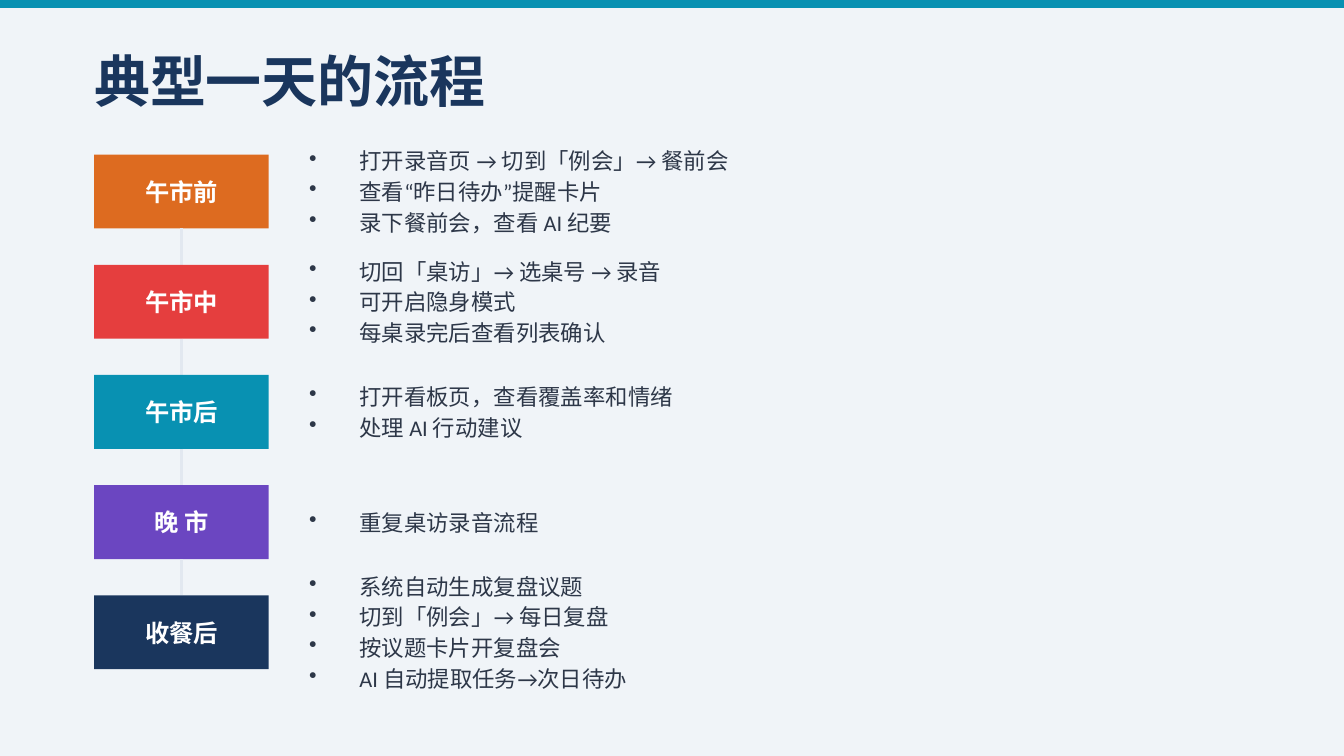
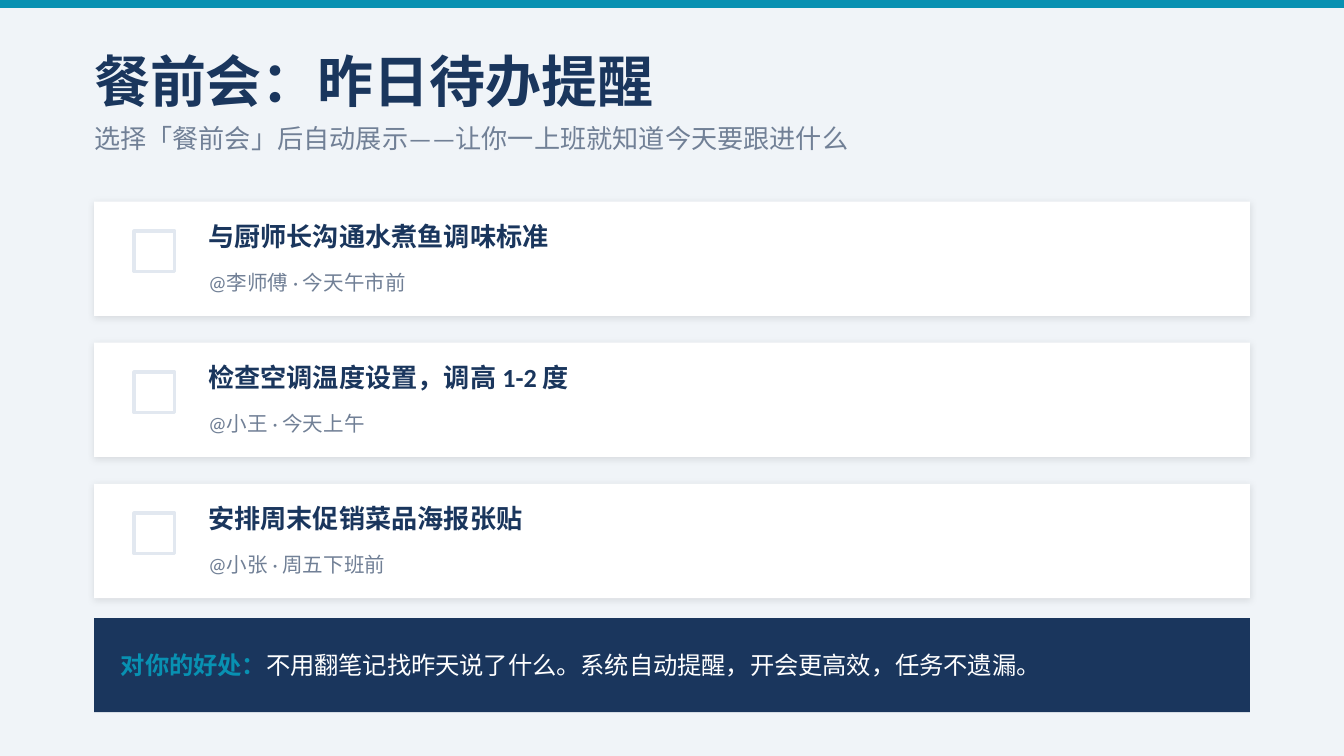
from dataclasses import dataclass
from typing import Optional

from lxml.etree import SubElement
from pptx import Presentation
from pptx.dml.color import RGBColor
from pptx.enum.shapes import MSO_CONNECTOR, MSO_SHAPE
from pptx.enum.text import MSO_ANCHOR, PP_ALIGN
from pptx.oxml.ns import qn
from pptx.util import Emu, Pt

PX = 4572  # 200 px to the inch
SLIDE_WIDTH, SLIDE_HEIGHT = 2000, 1125
MARGIN = 140
CONTENT_WIDTH = SLIDE_WIDTH - 2 * MARGIN

COLORS = {
    "background": "F0F4F8",
    "teal": "0891B2",
    "navy": "1A365D",
    "orange": "DD6B20",
    "red": "E53E3E",
    "purple": "6B46C1",
    "ink": "2D3748",
    "muted": "718096",
    "border": "E2E8F0",
    "white": "FFFFFF",
    "black": "000000",
}


@dataclass(frozen=True)
class Box:
    left: int
    top: int
    width: int
    height: int

    def emu(self) -> list[Emu]:
        return [Emu(n * PX) for n in (self.left, self.top, self.width, self.height)]


@dataclass(frozen=True)
class Style:
    size: int
    color: str
    bold: bool = False
    font: str = "Calibri"


@dataclass(frozen=True)
class Stage:
    name: str
    color: str
    steps: list[str]


@dataclass(frozen=True)
class Todo:
    task: str
    detail: str


TITLE = Style(30, "navy", True, "Noto Serif")
SUBTITLE = Style(14, "muted")
STAGE_NAME = Style(13, "white", True)
STEP = Style(12, "ink")
TASK = Style(14, "navy", True)
DETAIL = Style(11, "muted")
BENEFIT_LABEL = Style(13, "teal", True)
BENEFIT = Style(13, "white")

STAGES = [
    Stage("午市前", "orange", [
        "打开录音页 → 切到「例会」→ 餐前会",
        "查看“昨日待办”提醒卡片",
        "录下餐前会，查看 AI 纪要",
    ]),
    Stage("午市中", "red", [
        "切回「桌访」→ 选桌号 → 录音",
        "可开启隐身模式",
        "每桌录完后查看列表确认",
    ]),
    Stage("午市后", "teal", ["打开看板页，查看覆盖率和情绪", "处理 AI 行动建议"]),
    Stage("晚 市", "purple", ["重复桌访录音流程"]),
    Stage("收餐后", "navy", [
        "系统自动生成复盘议题",
        "切到「例会」→ 每日复盘",
        "按议题卡片开复盘会",
        "AI 自动提取任务→次日待办",
    ]),
]

TODOS = [
    Todo("与厨师长沟通水煮鱼调味标准", "@李师傅 · 今天午市前"),
    Todo("检查空调温度设置，调高 1-2 度", "@小王 · 今天上午"),
    Todo("安排周末促销菜品海报张贴", "@小张 · 周五下班前"),
]


def rgb(color: str) -> RGBColor:
    return RGBColor.from_string(COLORS[color])


def add_rectangle(slide, box: Box, fill: Optional[str] = None,
                  outline: Optional[str] = None):
    shape = slide.shapes.add_shape(MSO_SHAPE.RECTANGLE, *box.emu())
    shape.shadow.inherit = False
    if fill:
        shape.fill.solid()
        shape.fill.fore_color.rgb = rgb(fill)
    else:
        shape.fill.background()
    if outline:
        shape.line.color.rgb = rgb(outline)
        shape.line.width = Pt(2)
    else:
        shape.line.fill.background()
    return shape


def add_card_shadow(shape) -> None:
    effects = shape._element.spPr.find(qn("a:effectLst"))
    shadow = SubElement(effects, qn("a:outerShdw"), blurRad=str(Pt(4)),
                        dist=str(Pt(1)), dir=str(135 * 60000),
                        algn="bl", rotWithShape="0")
    color = SubElement(shadow, qn("a:srgbClr"), val=COLORS["black"])
    SubElement(color, qn("a:alpha"), val="10000")


def add_run(paragraph, text: str, style: Style) -> None:
    run = paragraph.add_run()
    run.text = text
    formats = {"name": style.font, "size": Pt(style.size), "bold": style.bold}
    for name, value in formats.items():
        setattr(run.font, name, value)
    run.font.color.rgb = rgb(style.color)
    SubElement(run._r.get_or_add_rPr(), qn("a:ea"), typeface=style.font)


def add_text_frame(slide, box: Box):
    """Add a wrapping text box without insets, anchored in the middle."""
    frame = slide.shapes.add_textbox(*box.emu()).text_frame
    formats = {
        "word_wrap": True, "vertical_anchor": MSO_ANCHOR.MIDDLE,
        "margin_left": 0, "margin_top": 0, "margin_right": 0, "margin_bottom": 0,
    }
    for name, value in formats.items():
        setattr(frame, name, value)
    return frame


def add_text(slide, box: Box, *runs: tuple[str, Style],
             alignment: PP_ALIGN = PP_ALIGN.LEFT) -> None:
    paragraph = add_text_frame(slide, box).paragraphs[0]
    paragraph.alignment = alignment
    for text, style in runs:
        add_run(paragraph, text, style)


def add_bullets(slide, box: Box, items: list[str], style: Style) -> None:
    frame = add_text_frame(slide, box)
    indent = 75 * PX
    for index, item in enumerate(items):
        paragraph = frame.add_paragraph() if index else frame.paragraphs[0]
        paragraph.space_after = Pt(2)
        properties = paragraph._p.get_or_add_pPr()
        properties.set("marL", str(indent))
        properties.set("indent", str(-indent))
        SubElement(properties, qn("a:buChar"), char="•")
        add_run(paragraph, item, style)


def add_vertical_link(slide, x: int, top: int, bottom: int) -> None:
    ends = [Emu(n * PX) for n in (x, top, x, bottom)]
    connector = slide.shapes.add_connector(MSO_CONNECTOR.STRAIGHT, *ends)
    connector.line.color.rgb = rgb("border")
    connector.line.width = Pt(2)
    SubElement(connector._element.spPr, qn("a:effectLst"))


def add_titled_slide(presentation, title: str):
    slide = presentation.slides.add_slide(presentation.slide_layouts[6])
    slide.background.fill.solid()
    slide.background.fill.fore_color.rgb = rgb("background")
    add_rectangle(slide, Box(0, 0, SLIDE_WIDTH, 12), "teal")
    add_text(slide, Box(MARGIN, 60, CONTENT_WIDTH, 120), (title, TITLE))
    return slide


def build_daily_flow(presentation) -> None:
    slide = add_titled_slide(presentation, "典型一天的流程")
    first_top, pitch = 230, 164
    for index, stage in enumerate(STAGES):
        top = first_top + index * pitch
        label = Box(MARGIN, top, 260, 110)
        add_rectangle(slide, label, stage.color)
        add_text(slide, label, (stage.name, STAGE_NAME), alignment=PP_ALIGN.CENTER)
        if index < len(STAGES) - 1:
            add_vertical_link(slide, label.left + label.width // 2,
                              top + label.height, top + pitch)
        add_bullets(slide, Box(460, top - 10, 1400, 130), stage.steps, STEP)


def build_todo_reminder(presentation) -> None:
    slide = add_titled_slide(presentation, "餐前会：昨日待办提醒")
    add_text(slide, Box(MARGIN, 170, CONTENT_WIDTH, 70),
             ("选择「餐前会」后自动展示——让你一上班就知道今天要跟进什么", SUBTITLE))
    first_top, pitch = 300, 210
    for index, todo in enumerate(TODOS):
        top = first_top + index * pitch
        card = add_rectangle(slide, Box(MARGIN, top, CONTENT_WIDTH, 170), "white")
        add_card_shadow(card)
        add_rectangle(slide, Box(200, top + 44, 60, 60), outline="border")
        add_text(slide, Box(310, top + 16, 1100, 70), (todo.task, TASK))
        add_text(slide, Box(310, top + 90, 1000, 60), (todo.detail, DETAIL))
    add_rectangle(slide, Box(MARGIN, 920, CONTENT_WIDTH, 140), "navy")
    add_text(slide, Box(MARGIN + 40, 920, CONTENT_WIDTH - 80, 140),
             ("对你的好处：", BENEFIT_LABEL),
             ("不用翻笔记找昨天说了什么。系统自动提醒，开会更高效，任务不遗漏。", BENEFIT))


def main() -> None:
    presentation = Presentation()
    presentation.slide_width = Emu(SLIDE_WIDTH * PX)
    presentation.slide_height = Emu(SLIDE_HEIGHT * PX)
    build_daily_flow(presentation)
    build_todo_reminder(presentation)
    presentation.save("out.pptx")


if __name__ == "__main__":
    main()
